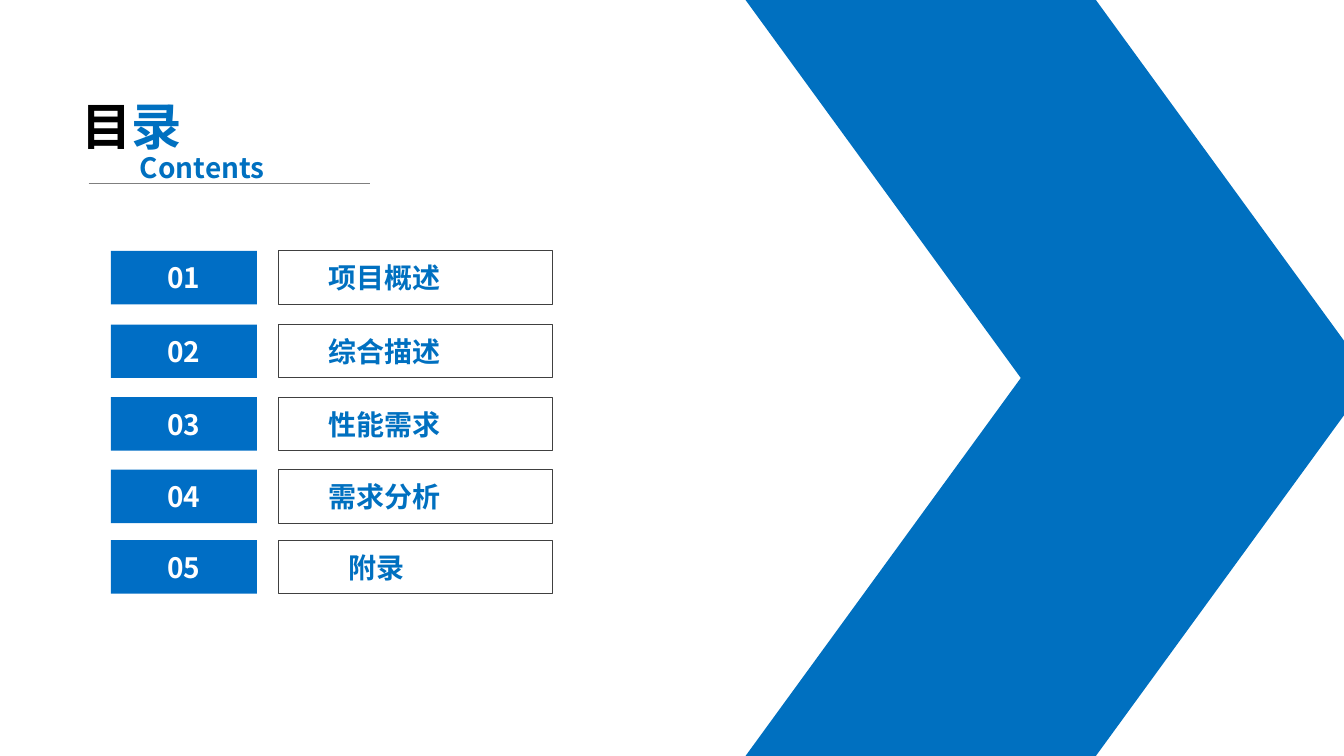
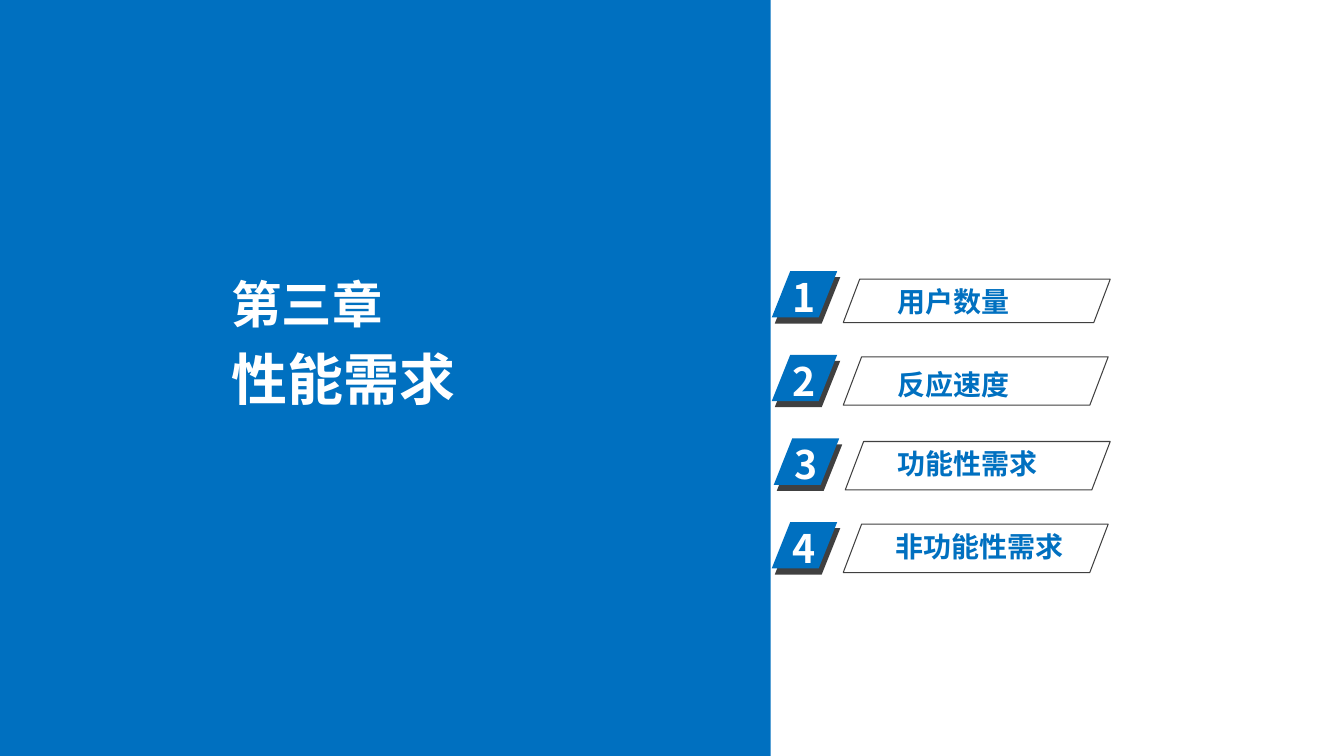
import pptx
import pptx.util
import pptx.dml.color
import pptx.enum.shapes
import pptx.enum.text
import pptx.oxml
import pptx.oxml.ns

Inches, Pt = pptx.util.Inches, pptx.util.Pt
RGBColor = pptx.dml.color.RGBColor
SHAPE = pptx.enum.shapes.MSO_SHAPE
ALIGN = pptx.enum.text.PP_ALIGN
qn = pptx.oxml.ns.qn

# Shared style
FONT = "Noto Sans CJK SC"
BLUE = RGBColor(0x00, 0x70, 0xC0)
BOX_BLUE = RGBColor(0x00, 0x6E, 0xC5)
DARK = RGBColor(0x40, 0x40, 0x40)
GRAY = RGBColor(0x7F, 0x7F, 0x7F)
BLACK = RGBColor(0x00, 0x00, 0x00)
WHITE = RGBColor(0xFF, 0xFF, 0xFF)
TITLE_ONLY = 5

# Content: contents entries as (text, top, text indent)
CONTENTS = [
    ("项目概述", 2.49, 0.5),
    ("综合描述", 3.22, 0.5),
    ("性能需求", 3.94, 0.5),
    ("需求分析", 4.66, 0.5),
    ("附录", 5.36, 0.7),
]
# Chapter topics as (text, text left, text top, frame left, top, width, height)
TOPICS = [
    ("用户数量", 8.81, 2.77, 8.37, 2.77, 2.65, 0.43),
    ("反应速度", 8.81, 3.59, 8.37, 3.54, 2.63, 0.48),
    ("功能性需求", 8.81, 4.38, 8.39, 4.38, 2.63, 0.48),
    ("非功能性需求", 8.79, 5.20, 8.37, 5.20, 2.63, 0.48),
]
BADGE_TOP, BADGE_STEP = 2.69, 0.83


def write(shape, spans, size, align=ALIGN.LEFT, indent=0.1):
    """Fill a shape with one bold line made of (text, colour) spans."""
    frame = shape.text_frame
    frame.word_wrap = True
    frame.auto_size = pptx.enum.text.MSO_AUTO_SIZE.NONE
    frame.vertical_anchor = pptx.enum.text.MSO_ANCHOR.MIDDLE
    frame.margin_left, frame.margin_right = Inches(indent), Inches(0.1)
    frame.margin_top = frame.margin_bottom = 0
    para = frame.paragraphs[0]
    para.alignment = align
    font = para.font
    font.name, font.size, font.bold = FONT, Pt(size), True
    if len(spans) == 1:
        font.color.rgb = spans[0][1]
    for text, color in spans:
        span = para.add_run()
        span.text = text
        if len(spans) > 1:
            span.font.color.rgb = color
    # East Asian typeface
    east_asian = pptx.oxml.parse_xml(
        f'<a:ea {pptx.oxml.ns.nsdecls("a")} typeface="{FONT}"/>')
    para._p.pPr.find(qn("a:defRPr")).append(east_asian)


def add_text(page, at, text, size, color):
    box = page.shapes.add_textbox(*map(Inches, at))
    write(box, [(text, color)], size)


def set_title(page, at, spans, size):
    title = page.shapes.title
    title.left, title.top, title.width, title.height = map(Inches, at)
    write(title, spans, size)


def add_block(page, kind, at, fill=None, adjust=None):
    """Add a filled block, or an outlined one when no fill is given."""
    block = page.shapes.add_shape(kind, *map(Inches, at))
    block.shadow.inherit = False
    if adjust is not None:
        block.adjustments[0] = adjust
    if fill is None:
        block.fill.background()
        block.line.color.rgb = DARK
        block.line.width = Pt(0.75)
    else:
        block.fill.solid()
        block.fill.fore_color.rgb = fill
        block.line.fill.background()
    return block


def build_contents(deck):
    page = deck.slides.add_slide(deck.slide_layouts[TITLE_ONLY])
    add_block(page, SHAPE.CHEVRON, (7.4, 0, 6.21, 7.5), BLUE, 0.44)

    # Heading
    set_title(page, (0.71, 0.84, 1.57, 0.8), [("目", BLACK), ("录", BLUE)], 36)
    add_text(page, (1.29, 1.44, 1.57, 0.44), "Contents", 20, BLUE)
    rule = page.shapes.add_connector(
        pptx.enum.shapes.MSO_CONNECTOR.STRAIGHT,
        Inches(0.88), Inches(1.82), Inches(3.67), Inches(1.82))
    rule.line.color.rgb = GRAY
    rule.line.width = Pt(0.5)
    rule._element.spPr.append(pptx.oxml.parse_xml(
        f'<a:effectLst {pptx.oxml.ns.nsdecls("a")}/>'))

    # Numbered entries
    for number, (text, top, indent) in enumerate(CONTENTS, 1):
        entry = add_block(page, SHAPE.RECTANGLE, (2.76, top, 2.72, 0.53))
        write(entry, [(text, BLUE)], 20, indent=indent)
        tag = add_block(page, SHAPE.RECTANGLE, (1.1, top, 1.45, 0.53), BOX_BLUE)
        write(tag, [(f"{number:02d}", WHITE)], 20, ALIGN.CENTER)


def build_chapter(deck):
    page = deck.slides.add_slide(deck.slide_layouts[TITLE_ONLY])
    # The panel goes behind the title
    panel = add_block(page, SHAPE.RECTANGLE, (0, 0, 7.65, 7.5), BLUE)
    page.shapes._spTree.insert(2, panel._element)
    add_text(page, (2.2, 2.61, 1.81, 0.8), "第三章", 36, WHITE)
    set_title(page, (2.2, 3.31, 3.77, 0.89), [("性能需求", WHITE)], 40)

    # Topics with numbered badges
    for index, (text, text_left, text_top, *frame) in enumerate(TOPICS):
        left = frame[0] - 0.71
        top = BADGE_TOP + index * BADGE_STEP
        for shift, fill in ((0.03, DARK), (0, BLUE)):
            add_block(page, SHAPE.PARALLELOGRAM,
                      (left + shift, top + 2 * shift, 0.65, 0.46), fill, 0.4)
        add_text(page, (left + 0.11, top - 0.03, 0.69, 0.57),
                 str(index + 1), 28, WHITE)
        add_block(page, SHAPE.PARALLELOGRAM, frame, adjust=0.38)
        add_text(page, (text_left, text_top, 3.03, 0.44), text, 20, BLUE)


def main():
    deck = pptx.Presentation()
    deck.slide_width, deck.slide_height = Inches(13.34), Inches(7.5)
    build_contents(deck)
    build_chapter(deck)
    deck.save("out.pptx")


if __name__ == "__main__":
    main()
